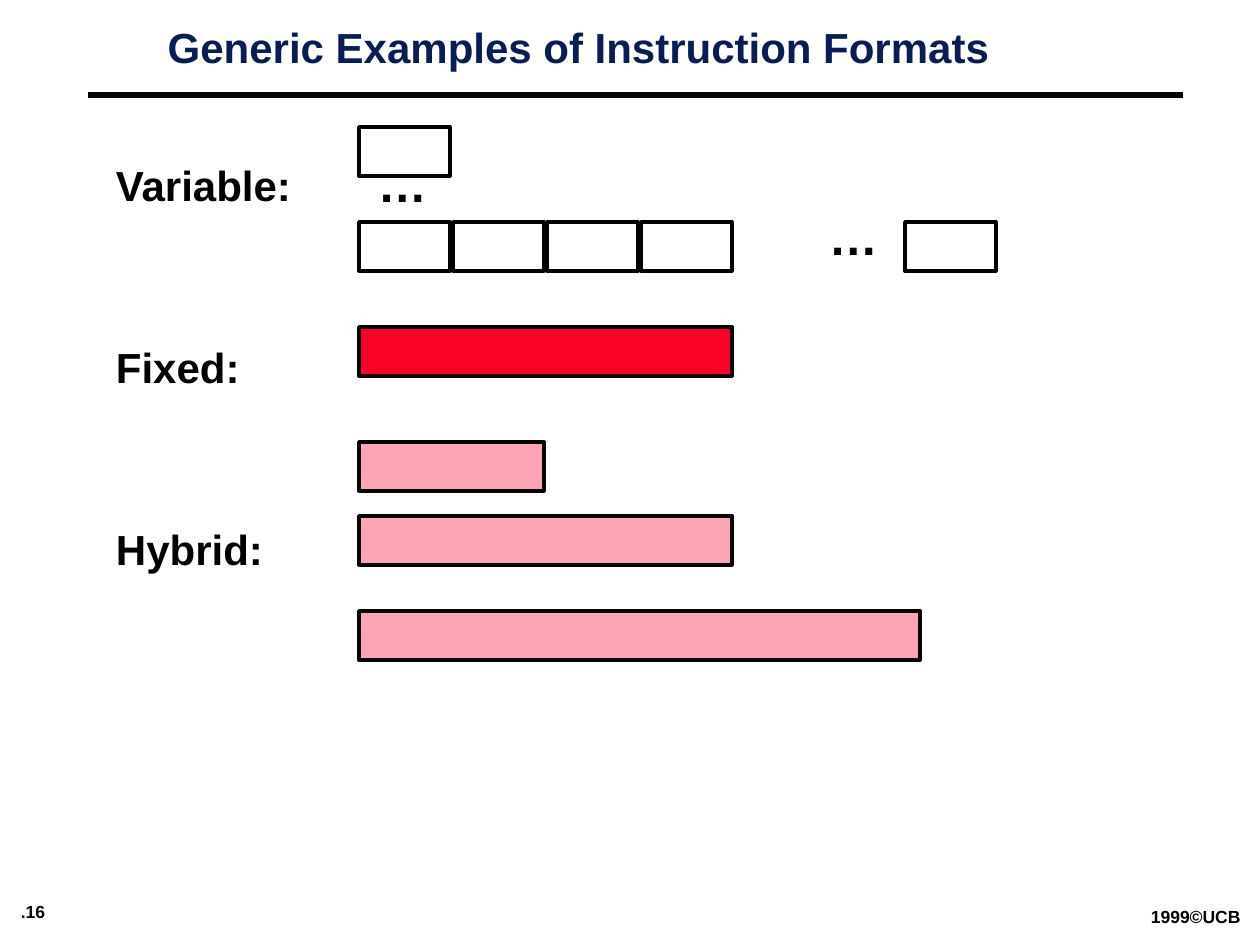
"""Build a slide comparing variable, fixed and hybrid instruction formats."""
from pptx import Presentation
from pptx.dml.color import RGBColor as RGB
from pptx.enum.shapes import MSO_CONNECTOR as Link, MSO_SHAPE as Kind
from pptx.enum.text import MSO_ANCHOR as Anchor, PP_ALIGN as Align
from pptx.util import Emu, Pt
from lxml.etree import SubElement
from pptx.oxml.ns import qn

PX = 914400 // 126
HUES = {"ink": "000000", "navy": "081D58", "red": "FC0128", "pink": "FDA4B5"}


def place(shape, x, y, w, h):
    shape.left, shape.top, shape.width, shape.height = (
        Emu(n * PX) for n in (x, y, w, h))


def write(shape, lines, size, hue="ink", inset=(13, 6), lead=0.9, gap=0, wrap=False):
    frame = shape.text_frame
    frame.word_wrap = wrap
    frame.vertical_anchor = Anchor.TOP
    frame.margin_left = frame.margin_right = Emu(inset[0] * PX)
    frame.margin_top = frame.margin_bottom = Emu(inset[1] * PX)
    frame.text = "\n".join(lines)
    for i, para in enumerate(frame.paragraphs):
        para.line_spacing = lead
        para.space_before = Pt(gap if i else 0)
        font = para.font
        font.name, font.size, font.bold = "Arial", Pt(size), True
        font.color.rgb = RGB.from_string(HUES[hue])


deck = Presentation()
deck.slide_width, deck.slide_height = Emu(1260 * PX), Emu(945 * PX)
slide = deck.slides.add_slide(deck.slide_layouts[5])
shapes = slide.shapes

title = shapes.title
place(title, 0, 24, 1157, 50)
write(title, ["Generic Examples of Instruction Formats"], 24, "navy", (9, 4), 0.87, wrap=True)
title.text_frame.paragraphs[0].alignment = Align.CENTER

rule = shapes.add_connector(
    Link.STRAIGHT, *(Emu(n * PX) for n in (88, 95, 1183, 95)))
rule.line.width = Pt(3.75)
rule.line.color.rgb = RGB.from_string(HUES["ink"])
SubElement(rule._element.spPr, qn("a:effectLst"))

for x, y, text in [(12, 897, ".16"), (1142, 902, "1999©UCB")]:
    note = shapes.add_textbox(0, 0, 0, 0)
    place(note, x, y, 116, 28)
    write(note, [text], 10, inset=(9, 4), lead=1)

labels = shapes.add_textbox(0, 0, 0, 0)
place(labels, 103, 159, 203, 421)
write(labels, ["Variable:", "Fixed:", "Hybrid:"], 24, gap=78)

LEFT, BYTE, STEP, TALL = 359, 91, 94, 49
bars = [(LEFT, 127, 1, None)]
bars += [(LEFT + i * STEP, 222, 1, None) for i in range(4)]
bars += [(905, 222, 1, None), (LEFT, 327, 4, "red")]
bars += [(LEFT, 442, 2, "pink"), (LEFT, 516, 4, "pink"), (LEFT, 611, 6, "pink")]
for x, y, count, hue in bars:
    bar = shapes.add_shape(Kind.RECTANGLE, 0, 0, 0, 0)
    place(bar, x, y, BYTE + (count - 1) * STEP, TALL)
    bar.shadow.inherit = False
    bar.line.width = Pt(2)
    bar.line.color.rgb = RGB.from_string(HUES["ink"])
    if hue:
        bar.fill.solid()
        bar.fill.fore_color.rgb = RGB.from_string(HUES[hue])
    else:
        bar.fill.background()

for x, y in [(365, 154), (816, 207)]:
    dots = shapes.add_textbox(0, 0, 0, 0)
    place(dots, x, y, 74, 66)
    write(dots, ["…"], 28)

deck.save("out.pptx")
